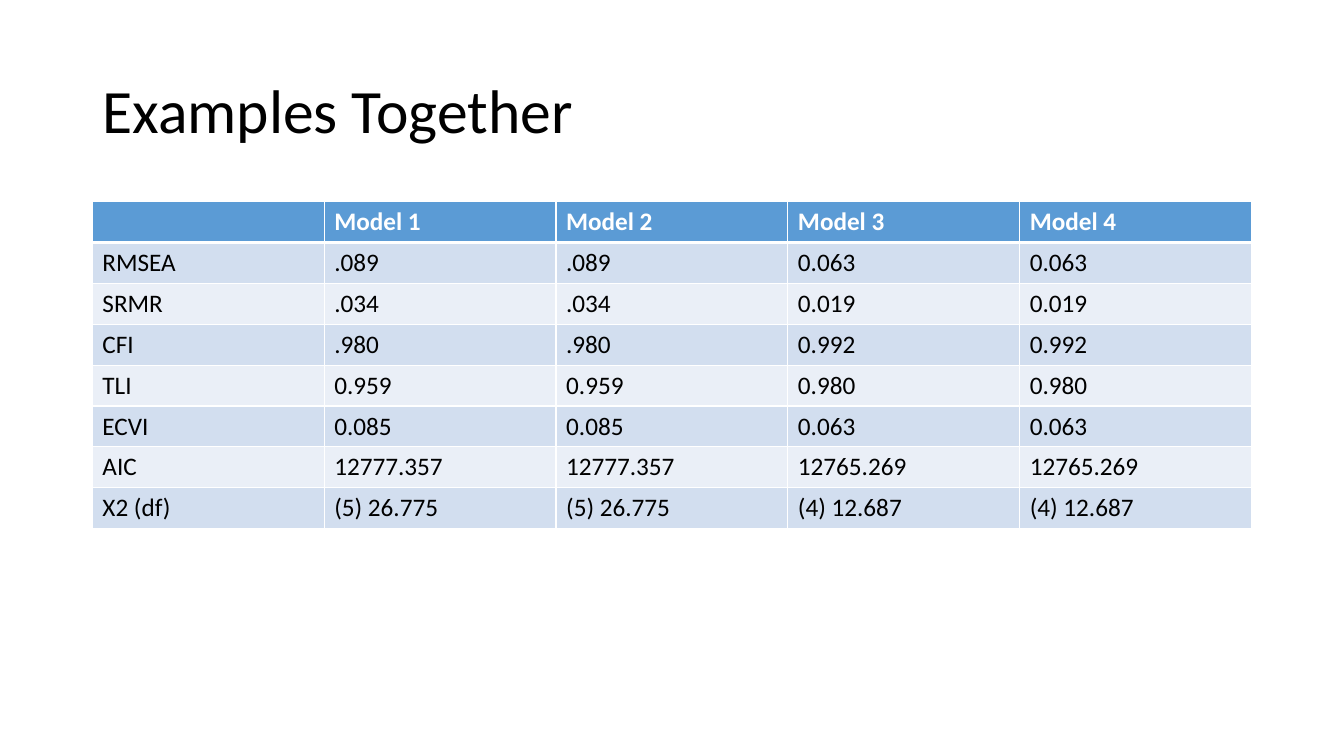
from dataclasses import dataclass

from lxml import etree
from pptx import Presentation
from pptx import util as u
from pptx.dml.color import RGBColor
from pptx.enum import text
from pptx.oxml import ns


@dataclass(frozen=True)
class Theme:
    font: str = "Calibri"
    ink: str = "000000"
    white: str = "FFFFFF"
    head: str = "5B9BD5"
    bands: tuple = ("D2DEEF", "EAEFF7")
    title: float = 44
    body: float = 18
    rule: float = 1
    thick: float = 3


class Deck:
    def __init__(self, theme):
        self.theme = theme
        self.prs = Presentation()
        self.prs.slide_width, self.prs.slide_height = u.Pt(960), u.Pt(540)
        self.slide = self.prs.slides.add_slide(self.prs.slide_layouts[5])

    def label(self, para, words, size, color, bold=False):
        run = para.add_run()
        run.text = words
        run.font.name = self.theme.font
        run.font.size = u.Pt(size)
        run.font.bold = bold
        run.font.color.rgb = RGBColor.from_string(color)

    def title(self, words, left, top, width, height):
        box = self.slide.shapes.title
        box.left, box.top = u.Pt(left), u.Pt(top)
        box.width, box.height = u.Pt(width), u.Pt(height)
        frame = box.text_frame
        frame.word_wrap = True
        frame.vertical_anchor = text.MSO_ANCHOR.MIDDLE
        para = frame.paragraphs[0]
        para.alignment = text.PP_ALIGN.LEFT
        para.line_spacing = 0.9
        self.label(para, words, self.theme.title, self.theme.ink)

    def edge(self, cell, side, width):
        """Draw one cell border; side is L, R, T or B."""
        props = cell._tc.get_or_add_tcPr()
        line = etree.SubElement(props, ns.qn(f"a:ln{side}"), w=str(u.Pt(width)))
        fill = etree.SubElement(line, ns.qn("a:solidFill"))
        etree.SubElement(fill, ns.qn("a:srgbClr"), val=self.theme.white)

    def cell(self, cell, words, row):
        look = self.theme
        head = row == 0
        for side in "LRTB":
            joint = (row, side) in ((0, "B"), (1, "T"))
            self.edge(cell, side, look.thick if joint else look.rule)
        cell.fill.solid()
        shade = look.head if head else look.bands[(row - 1) % 2]
        cell.fill.fore_color.rgb = RGBColor.from_string(shade)
        if words:
            para = cell.text_frame.paragraphs[0]
            self.label(para, words, look.body, look.white if head else look.ink, head)

    def table(self, rows, left, top, width, pitch):
        grid = self.slide.shapes.add_table(
            len(rows), len(rows[0]), u.Pt(left), u.Pt(top),
            u.Pt(width), u.Pt(pitch * len(rows))).table
        for r, row in enumerate(rows):
            for c, words in enumerate(row):
                self.cell(grid.cell(r, c), words, r)


FITS = [
    ("", "Model 1", "Model 2", "Model 3", "Model 4"),
    ("RMSEA", ".089", ".089", "0.063", "0.063"),
    ("SRMR", ".034", ".034", "0.019", "0.019"),
    ("CFI", ".980", ".980", "0.992", "0.992"),
    ("TLI", "0.959", "0.959", "0.980", "0.980"),
    ("ECVI", "0.085", "0.085", "0.063", "0.063"),
    ("AIC", "12777.357", "12777.357", "12765.269", "12765.269"),
    ("X2 (df)", "(5) 26.775", "(5) 26.775", "(4) 12.687", "(4) 12.687"),
]


def main():
    deck = Deck(Theme())
    deck.title("Examples Together", 66, 28.75, 828, 104.4)
    deck.table(FITS, 66, 144, 828, 29.2)
    deck.prs.save("out.pptx")


if __name__ == "__main__":
    main()
